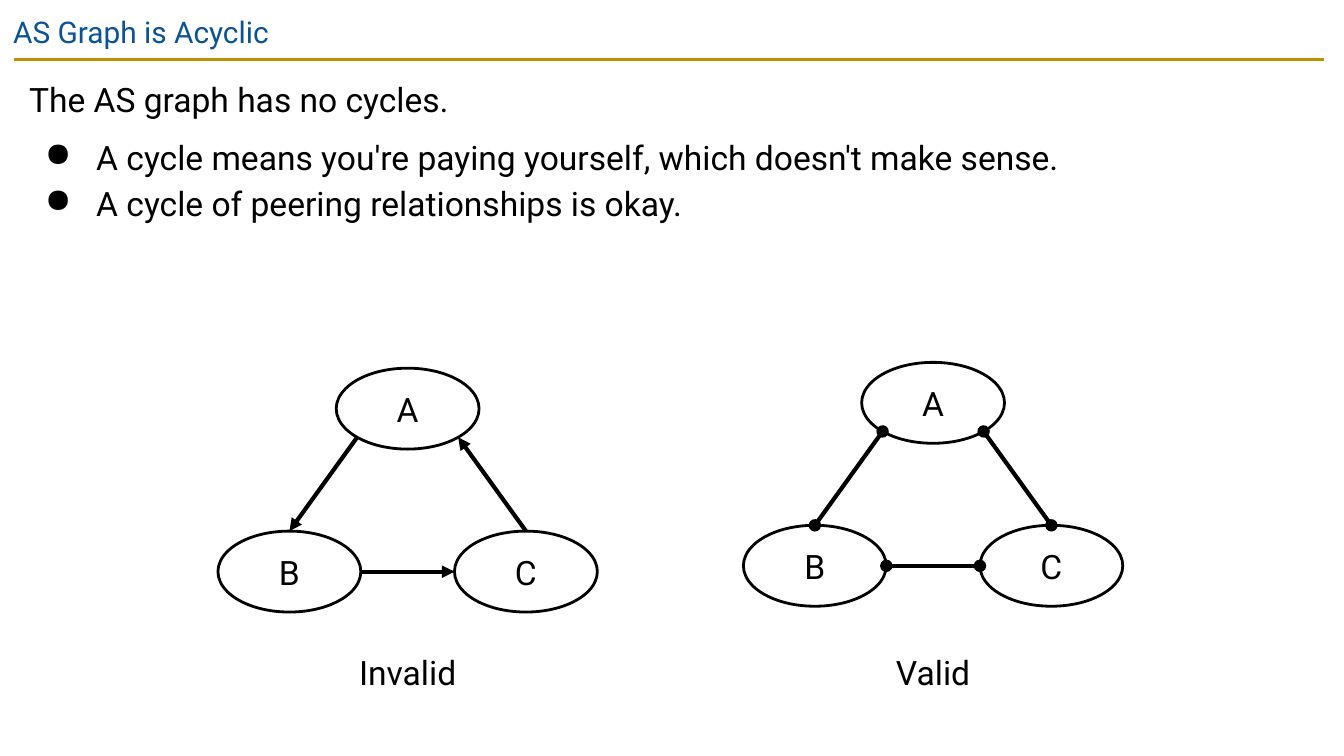
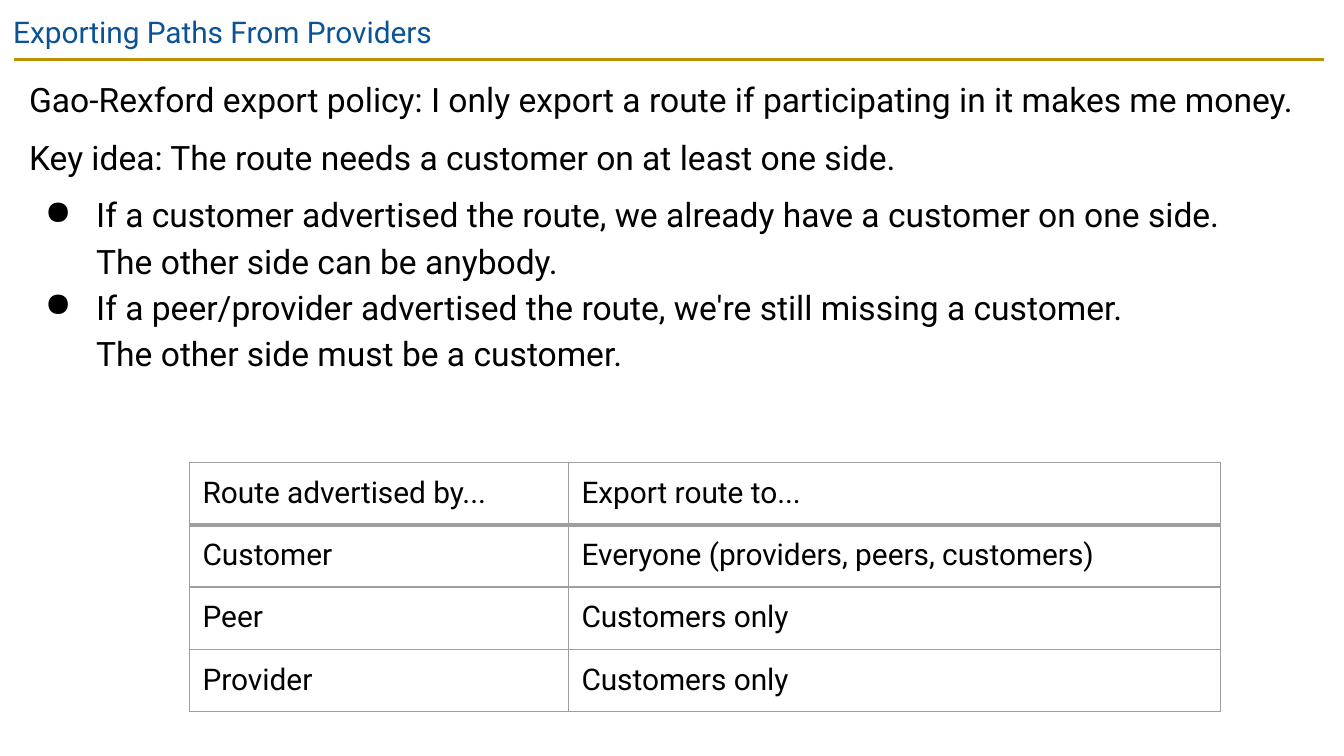
from dataclasses import dataclass
from math import sqrt

from lxml import etree
from pptx import Presentation
from pptx.dml.color import RGBColor
from pptx.enum.shapes import MSO_CONNECTOR, MSO_SHAPE
from pptx.enum.text import MSO_ANCHOR, PP_ALIGN
from pptx.oxml.ns import qn
from pptx.util import Cm, Pt

STRAIGHT = MSO_CONNECTOR.STRAIGHT
OVAL = MSO_SHAPE.OVAL
MIDDLE = MSO_ANCHOR.MIDDLE
LEFT = PP_ALIGN.LEFT
CENTER = PP_ALIGN.CENTER


@dataclass(frozen=True)
class Theme:
    font: str = "Roboto"
    title_color: str = "0B5394"
    rule_color: str = "BF9000"
    ink: str = "000000"
    grid: str = "9E9E9E"
    title_size: int = 16
    body_size: int = 18
    table_size: int = 16
    thin: float = 0.75
    outline: float = 1.5
    thick: float = 2.25
    inset: float = 0.25
    leading: float = 1.15
    gap: int = 6


theme = Theme()


def write_text(frame, lines, size, color=theme.ink, align=LEFT, spaced=False):
    frame.word_wrap = True
    frame.margin_left = frame.margin_right = Cm(theme.inset)
    frame.margin_top = frame.margin_bottom = Cm(theme.inset)
    after_bullet = False
    for index, (text, bulleted) in enumerate(lines):
        para = frame.paragraphs[0] if index == 0 else frame.add_paragraph()
        para.text = text
        para.alignment = align
        if spaced:
            para.line_spacing = theme.leading
            para.space_before = Pt(0 if bulleted and after_bullet else theme.gap)
        if bulleted:
            properties = para._p.get_or_add_pPr()
            properties.set("marL", str(Cm(1.27)))
            properties.set("indent", str(Cm(-0.97)))
            etree.SubElement(properties, qn("a:buChar"), char="●")
        after_bullet = bulleted
        for span in para.runs:
            span.font.name = theme.font
            span.font.size = Pt(size)
            span.font.color.rgb = RGBColor.from_string(color)


def draw_line(page, start, end, color, width, head="none", tail="none"):
    line = page.shapes.add_connector(STRAIGHT, *map(Cm, start + end))
    line.line.color.rgb = RGBColor.from_string(color)
    line.line.width = Pt(width)
    outline = line.line._get_or_add_ln()
    etree.SubElement(outline, qn("a:headEnd"), type=head)
    etree.SubElement(outline, qn("a:tailEnd"), type=tail)
    etree.SubElement(line._element.spPr, qn("a:effectLst"))


contents = [
    ("AS Graph is Acyclic", 12.57, [
        ("The AS graph has no cycles.", False),
        ("A cycle means you're paying yourself, which doesn't make sense.", True),
        ("A cycle of peering relationships is okay.", True),
    ]),
    ("Exporting Paths From Providers", 6.55, [
        ("Gao-Rexford export policy: I only export a route if participating in it makes me money.", False),
        ("Key idea: The route needs a customer on at least one side.", False),
        ("If a customer advertised the route, we already have a customer on one side.\n"
         "The other side can be anybody.", True),
        ("If a peer/provider advertised the route, we're still missing a customer.\n"
         "The other side must be a customer.", True),
    ]),
]

deck = Presentation()
deck.slide_width = Cm(25.4)
deck.slide_height = Cm(14.29)

pages = []
for title, body_height, body in contents:
    page = deck.slides.add_slide(deck.slide_layouts[6])
    pages.append(page)
    draw_line(page, (0.26, 1.13), (25.02, 1.13), theme.rule_color, theme.outline)
    title_box = page.shapes.add_textbox(0, 0, Cm(23.67), Cm(1.09))
    write_text(title_box.text_frame, [(title, False)], theme.title_size, theme.title_color)
    body_box = page.shapes.add_textbox(Cm(0.3), Cm(1.13), Cm(24.74), Cm(body_height))
    write_text(body_box.text_frame, body, theme.body_size, spaced=True)

graph_page, export_page = pages

node_width, node_height = 2.7, 1.53
graph_width = 7.17
node_offsets = {"A": ((graph_width - node_width) / 2, 0), "B": (0, 3.08), "C": (graph_width - node_width, 3.08)}
diagonal = 1 / sqrt(2)
edges = [
    ("A", (-diagonal, diagonal), "B", (0, -1)),
    ("B", (1, 0), "C", (-1, 0)),
    ("C", (0, -1), "A", (diagonal, diagonal)),
]
graphs = [
    ("Invalid", 4.12, 6.96, "none", "triangle"),
    ("Valid", 14.05, 6.85, "oval", "oval"),
]
for caption, left, top, head, tail in graphs:
    centers = {}
    for name, (across, down) in node_offsets.items():
        node = graph_page.shapes.add_shape(
            OVAL, Cm(left + across), Cm(top + down), Cm(node_width), Cm(node_height))
        node.shadow.inherit = False
        node.fill.background()
        node.line.color.rgb = RGBColor.from_string(theme.ink)
        node.line.width = Pt(theme.outline)
        node.text_frame.vertical_anchor = MIDDLE
        write_text(node.text_frame, [(name, False)], theme.body_size, align=CENTER)
        centers[name] = (left + across + node_width / 2, top + down + node_height / 2)
    for source, source_side, target, target_side in edges:
        start, end = [
            (centers[name][0] + side[0] * node_width / 2, centers[name][1] + side[1] * node_height / 2)
            for name, side in ((source, source_side), (target, target_side))
        ]
        draw_line(graph_page, start, end, theme.ink, theme.thick, head, tail)
    caption_box = graph_page.shapes.add_textbox(Cm(left), Cm(11.96), Cm(graph_width), Cm(1.75))
    write_text(caption_box.text_frame, [(caption, False)], theme.body_size, align=CENTER, spaced=True)

export_rules = [
    ("Route advertised by...", "Export route to..."),
    ("Customer", "Everyone (providers, peers, customers)"),
    ("Peer", "Customers only"),
    ("Provider", "Customers only"),
]
column_widths = [7.16, 12.32]
row_height = 1.07
table = export_page.shapes.add_table(
    len(export_rules), len(column_widths), Cm(3.58), Cm(8.74),
    Cm(sum(column_widths)), Cm(row_height * len(export_rules))).table
table.first_row = False
table.horz_banding = False
for column, width in zip(table.columns, column_widths):
    column.width = Cm(width)
for row_index, texts in enumerate(export_rules):
    table.rows[row_index].height = Cm(row_height)
    borders = {
        "lnL": theme.thin,
        "lnR": theme.thin,
        "lnT": theme.thick if row_index == 1 else theme.thin,
        "lnB": theme.thick if row_index == 0 else theme.thin,
    }
    for column_index, text in enumerate(texts):
        cell = table.cell(row_index, column_index)
        write_text(cell.text_frame, [(text, False)], theme.table_size)
        cell.margin_left = cell.margin_right = Cm(theme.inset)
        cell.margin_top = cell.margin_bottom = Cm(theme.inset)
        properties = cell._tc.get_or_add_tcPr()
        for side, width in borders.items():
            border = etree.SubElement(properties, qn(f"a:{side}"), w=str(Pt(width)))
            fill = etree.SubElement(border, qn("a:solidFill"))
            etree.SubElement(fill, qn("a:srgbClr"), val=theme.grid)
        cell.fill.background()

deck.save("out.pptx")
